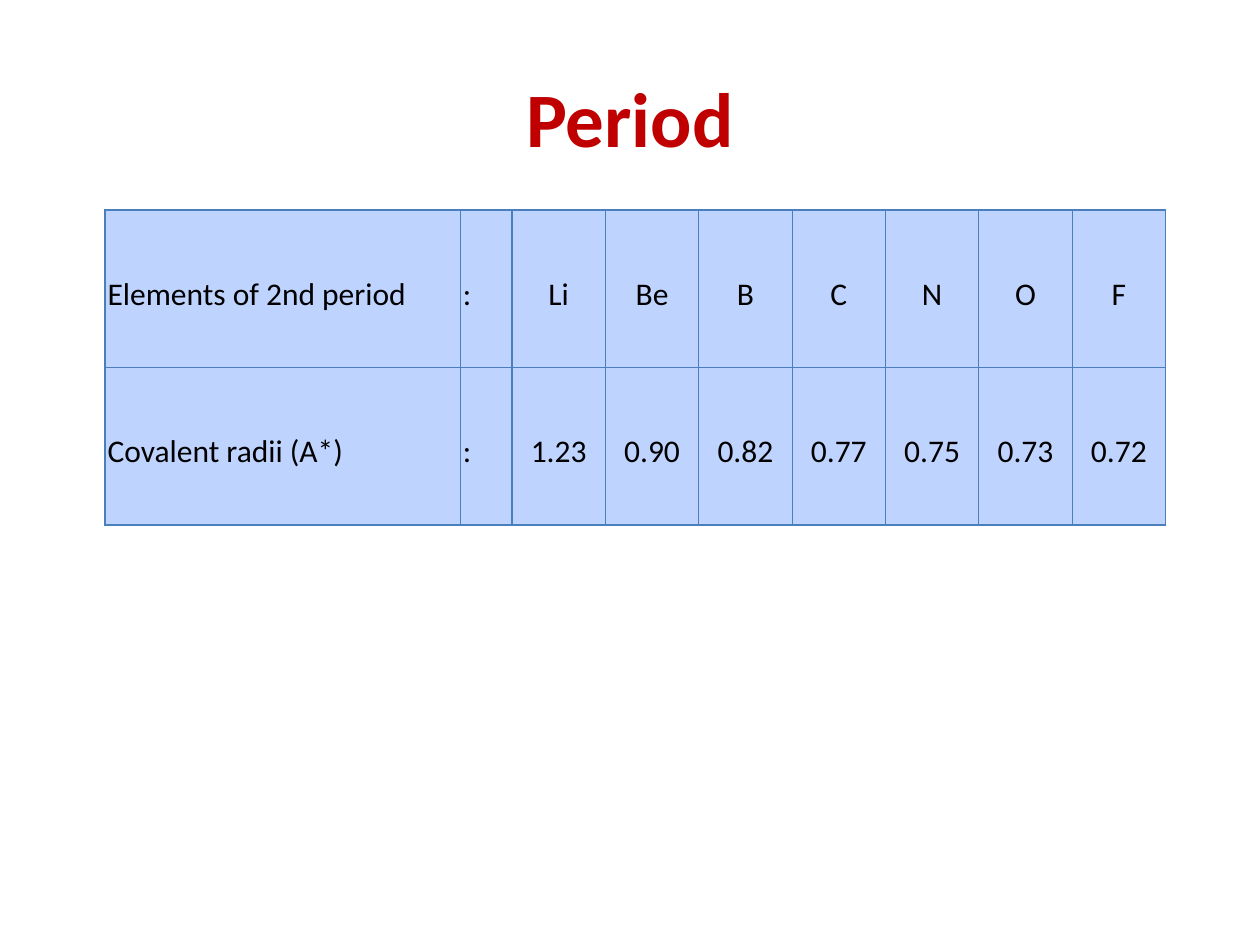
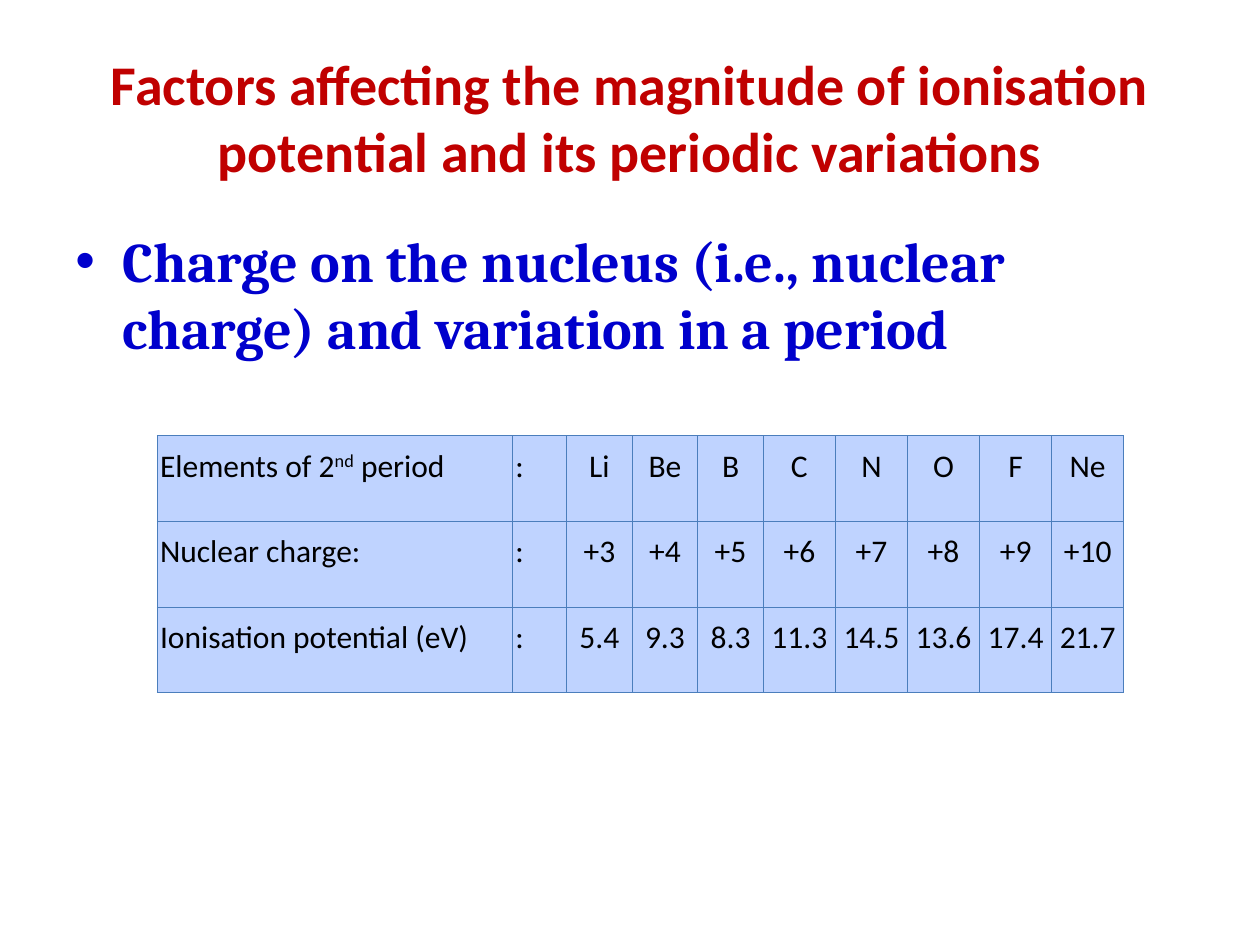
"""Build two slides on periodic trends, each with a title and a table."""
from dataclasses import dataclass

from lxml import etree
from pptx import Presentation
from pptx.dml.color import RGBColor
from pptx.enum.text import MSO_ANCHOR, PP_ALIGN
from pptx.oxml.ns import qn
from pptx.util import Pt

LEFT, CENTER = PP_ALIGN.LEFT, PP_ALIGN.CENTER
TOP, MIDDLE = MSO_ANCHOR.TOP, MSO_ANCHOR.MIDDLE


@dataclass(frozen=True)
class TextStyle:
    font: str
    size: float
    color: str
    bold: bool = False


@dataclass(frozen=True)
class Theme:
    large_title: TextStyle = TextStyle("Calibri", 44, "C00000", True)
    long_title: TextStyle = TextStyle("Calibri", 32, "C00000", True)
    bullet: TextStyle = TextStyle("Cambria", 32, "0000CC", True)
    cell: TextStyle = TextStyle("Calibri", 18, "000000")
    cell_fill: str = "BFD3FF"
    border: str = "4B7EBC"
    border_width: float = 0.75


THEME = Theme()
SLIDE_SIZE = (720, 540)
TITLE_BOX = (36, 21.6, 648, 90)
BULLET_BOX = (36, 126, 648, 96)
BULLET_INDENT = 27
CELL_MARGIN = 1.5
SUPERSCRIPT = "^"

SLIDES = [
    {
        "title": "Period",
        "title_style": THEME.large_title,
        "table": {
            "position": (60, 120),
            "columns": [203, 29.6] + [53.36] * 7,
            "row_height": 90,
            "anchor": MIDDLE,
            "rows": [
                ("Elements of 2nd period", "Li Be B C N O F"),
                ("Covalent radii (A*)", "1.23 0.90 0.82 0.77 0.75 0.73 0.72"),
            ],
        },
    },
    {
        "title": "Factors affecting the magnitude of ionisation potential "
                 "and its periodic variations",
        "title_style": THEME.long_title,
        "bullet": "Charge on the nucleus (i.e., nuclear charge) and variation in a period",
        "table": {
            "position": (90, 249),
            "columns": [203, 30.8] + [37.5] * 3 + [41.2] * 5,
            "row_height": 49,
            "anchor": TOP,
            "rows": [
                ("Elements of 2^nd^ period", "Li Be B C N O F Ne"),
                ("Nuclear charge:", "+3 +4 +5 +6 +7 +8 +9 +10"),
                ("Ionisation potential (eV)", "5.4 9.3 8.3 11.3 14.5 13.6 17.4 21.7"),
            ],
        },
    },
]


def add_runs(paragraph, text, style):
    for index, part in enumerate(text.split(SUPERSCRIPT)):
        run = paragraph.add_run()
        run.text = part
        run.font.name = style.font
        run.font.size = Pt(style.size)
        run.font.bold = style.bold
        run.font.color.rgb = RGBColor.from_string(style.color)
        if index % 2:
            run.font._element.set("baseline", "30000")


def add_text(slide, box, text, style, alignment, anchor):
    shape = slide.shapes.add_textbox(*map(Pt, box))
    frame = shape.text_frame
    frame.word_wrap = True
    frame.vertical_anchor = anchor
    paragraph = frame.paragraphs[0]
    paragraph.alignment = alignment
    add_runs(paragraph, text, style)
    return paragraph


def add_bullet(slide, text):
    paragraph = add_text(slide, BULLET_BOX, text, THEME.bullet, LEFT, TOP)
    paragraph.space_before = Pt(0.2 * THEME.bullet.size)
    properties = paragraph._p.get_or_add_pPr()
    properties.set("marL", str(Pt(BULLET_INDENT)))
    properties.set("indent", str(-Pt(BULLET_INDENT)))
    etree.SubElement(properties, qn("a:buFont"), typeface="Arial")
    etree.SubElement(properties, qn("a:buChar"), char="•")


def add_borders(cell):
    properties = cell._tc.get_or_add_tcPr()
    for side in ("lnL", "lnR", "lnT", "lnB"):
        line = etree.SubElement(properties, qn(f"a:{side}"), w=str(Pt(THEME.border_width)))
        fill = etree.SubElement(line, qn("a:solidFill"))
        etree.SubElement(fill, qn("a:srgbClr"), val=THEME.border)


def fill_cell(cell, text, alignment, anchor):
    add_borders(cell)
    cell.fill.solid()
    cell.fill.fore_color.rgb = RGBColor.from_string(THEME.cell_fill)
    cell.margin_left = cell.margin_right = Pt(CELL_MARGIN)
    cell.margin_top = cell.margin_bottom = 0
    cell.vertical_anchor = anchor
    paragraph = cell.text_frame.paragraphs[0]
    paragraph.alignment = alignment
    paragraph.line_spacing = 1.3
    paragraph.space_before = Pt(3)
    paragraph.space_after = Pt(1)
    add_runs(paragraph, text, THEME.cell)


def add_data_table(slide, position, columns, row_height, anchor, rows):
    size = (sum(columns), row_height * len(rows))
    shape = slide.shapes.add_table(len(rows), len(columns), *map(Pt, position + size))
    table = shape.table
    table.first_row = table.horz_banding = False
    for column, width in zip(table.columns, columns):
        column.width = Pt(width)
    for row, (label, values) in zip(table.rows, rows):
        row.height = Pt(row_height)
        for index, text in enumerate([label, ":", *values.split()]):
            fill_cell(row.cells[index], text, LEFT if index < 2 else CENTER, anchor)


def main():
    presentation = Presentation()
    presentation.slide_width, presentation.slide_height = map(Pt, SLIDE_SIZE)
    blank_layout = presentation.slide_layouts[6]
    for content in SLIDES:
        slide = presentation.slides.add_slide(blank_layout)
        add_text(slide, TITLE_BOX, content["title"], content["title_style"], CENTER, MIDDLE)
        if "bullet" in content:
            add_bullet(slide, content["bullet"])
        add_data_table(slide, **content["table"])
    presentation.save("out.pptx")


if __name__ == "__main__":
    main()
